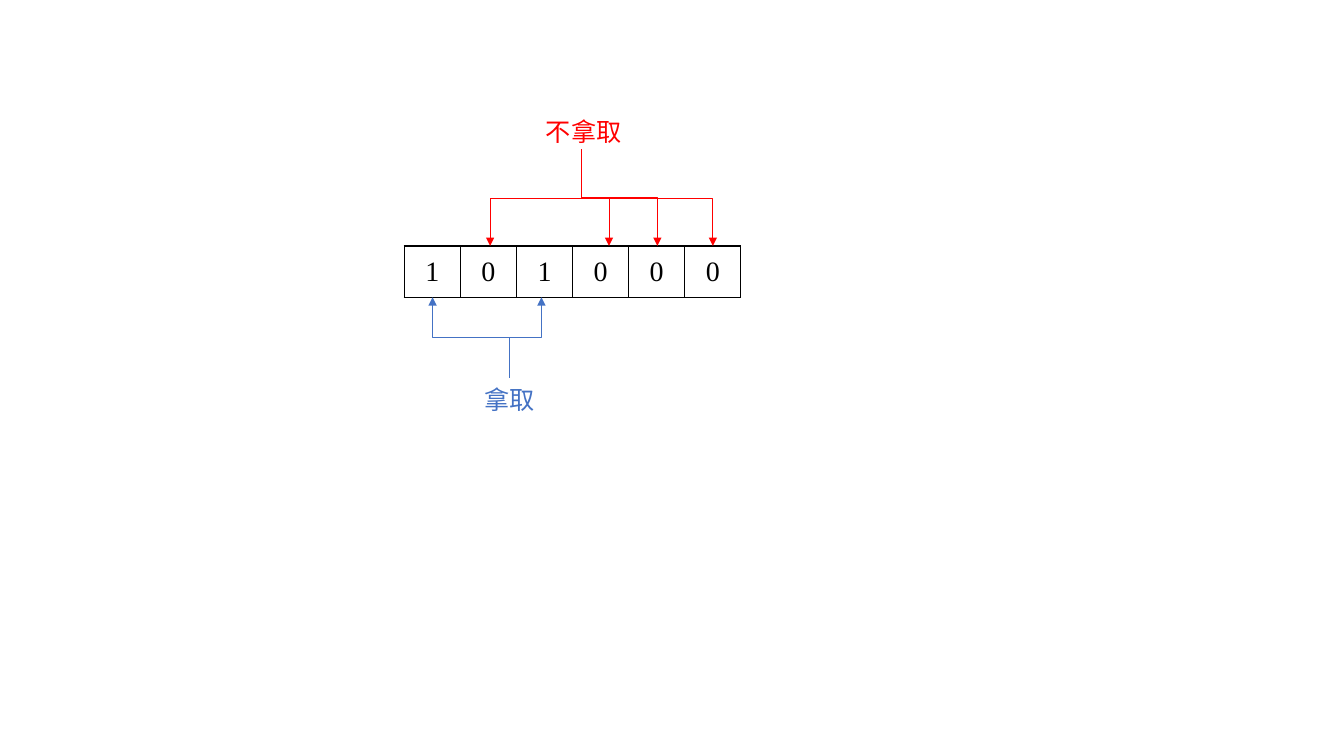
import pptx
import pptx.dml.color
import pptx.enum.shapes
import pptx.enum.text
import pptx.oxml
import pptx.oxml.ns
import pptx.util

Inches = pptx.util.Inches
Pt = pptx.util.Pt
qn = pptx.oxml.ns.qn

COLORS = {"ink": "000000", "paper": "FFFFFF", "skip": "FF0000", "take": "4472C4"}
DIGIT_FONT = "Times New Roman"
LABEL_FONT = "Noto Sans CJK SC"
BITS = "101000"


def rgb(name):
    return pptx.dml.color.RGBColor.from_string(COLORS[name])


def write(para, text, size, font, color):
    para.alignment = pptx.enum.text.PP_ALIGN.CENTER
    span = para.add_run()
    span.text = text
    for key, value in {"size": Pt(size), "name": font, "bold": False}.items():
        setattr(span.font, key, value)
    span.font.color.rgb = rgb(color)
    east_asian = pptx.oxml.parse_xml(
        f'<a:ea {pptx.oxml.ns.nsdecls("a")} typeface="{font}"/>')
    span.font._element.find(qn("a:latin")).addnext(east_asian)


def add_borders(cell):
    properties = cell._tc.get_or_add_tcPr()
    for index, side in enumerate(("lnL", "lnR", "lnT", "lnB")):
        properties.insert(index, pptx.oxml.parse_xml(
            f'<a:{side} {pptx.oxml.ns.nsdecls("a")} w="{Pt(1)}"><a:solidFill>'
            f'<a:srgbClr val="{COLORS["ink"]}"/></a:solidFill></a:{side}>'))


def add_bit_row(page, left, top, width, height):
    """Row of bits, one cell each."""
    table = page.shapes.add_table(1, len(BITS), Inches(left), Inches(top),
                                  Inches(width), Inches(height)).table
    table.first_row = table.horz_banding = False
    for cell, bit in zip(table.rows[0].cells, BITS):
        cell.vertical_anchor = pptx.enum.text.MSO_ANCHOR.MIDDLE
        cell.fill.solid()
        cell.fill.fore_color.rgb = rgb("paper")
        write(cell.text_frame.paragraphs[0], bit, 20, DIGIT_FONT, "ink")
        add_borders(cell)


def add_label(page, text, color, left, top, width, height):
    box = page.shapes.add_textbox(Inches(left), Inches(top), Inches(width), Inches(height))
    box.text_frame.word_wrap = False
    box.text_frame.auto_size = pptx.enum.text.MSO_AUTO_SIZE.SHAPE_TO_FIT_TEXT
    write(box.text_frame.paragraphs[0], text, 18, LABEL_FONT, color)


def add_branch(page, lower, upper, color, arrow_end):
    """Elbow running up, across and up, as a quarter-turned connector."""
    (x1, y1), (x2, y2) = lower, upper
    center_x, center_y = (x1 + x2) / 2, (y1 + y2) / 2
    half_run, half_rise = abs(x2 - x1) / 2, (y1 - y2) / 2
    rightward = x2 > x1
    reach = half_rise if rightward else -half_rise
    branch = page.shapes.add_connector(
        pptx.enum.shapes.MSO_CONNECTOR.ELBOW,
        Inches(center_x + reach), Inches(center_y + half_run),
        Inches(center_x - reach), Inches(center_y - half_run))
    properties = branch._element.spPr
    properties.find(qn("a:xfrm")).set("rot", str((90 if rightward else 270) * 60000))
    branch.line.width = Pt(0.5)
    branch.line.color.rgb = rgb(color)
    line = properties.find(qn("a:ln"))
    line.append(pptx.oxml.parse_xml(
        f'<a:{arrow_end} {pptx.oxml.ns.nsdecls("a")} type="triangle"/>'))
    line.addnext(pptx.oxml.parse_xml(f'<a:effectLst {pptx.oxml.ns.nsdecls("a")}/>'))


def add_skipped(page, left, top, width, height, row_top):
    """Label above the row, with arrows down to the zeros."""
    middle = left + width / 2 - 0.02
    for target, start in ((4.86, 1.5), (6.04, 1.5), (6.52, 1.48), (7.07, 1.5)):
        add_branch(page, (target, row_top), (middle, start), "skip", "headEnd")
    add_label(page, "不拿取", "skip", left, top, width, height)


def add_taken(page, left, top, width, height, row_bottom):
    """Label below the row, with arrows up to the ones."""
    for target in (4.29, 5.37):
        add_branch(page, (left + width / 2, top - 0.01), (target, row_bottom),
                   "take", "tailEnd")
    add_label(page, "拿取", "take", left, top, width, height)


def main():
    deck = pptx.Presentation()
    deck.slide_width, deck.slide_height = Inches(13.33), Inches(7.5)
    page = deck.slides.add_slide(deck.slide_layouts[6])
    row_top, row_height = 2.44, 0.51
    add_bit_row(page, 4.01, row_top, 3.34, row_height)
    add_taken(page, 4.7, 3.76, 0.71, 0.4, row_top + row_height)
    add_skipped(page, 5.31, 1.11, 0.96, 0.4, row_top)
    deck.save("out.pptx")


if __name__ == "__main__":
    main()
